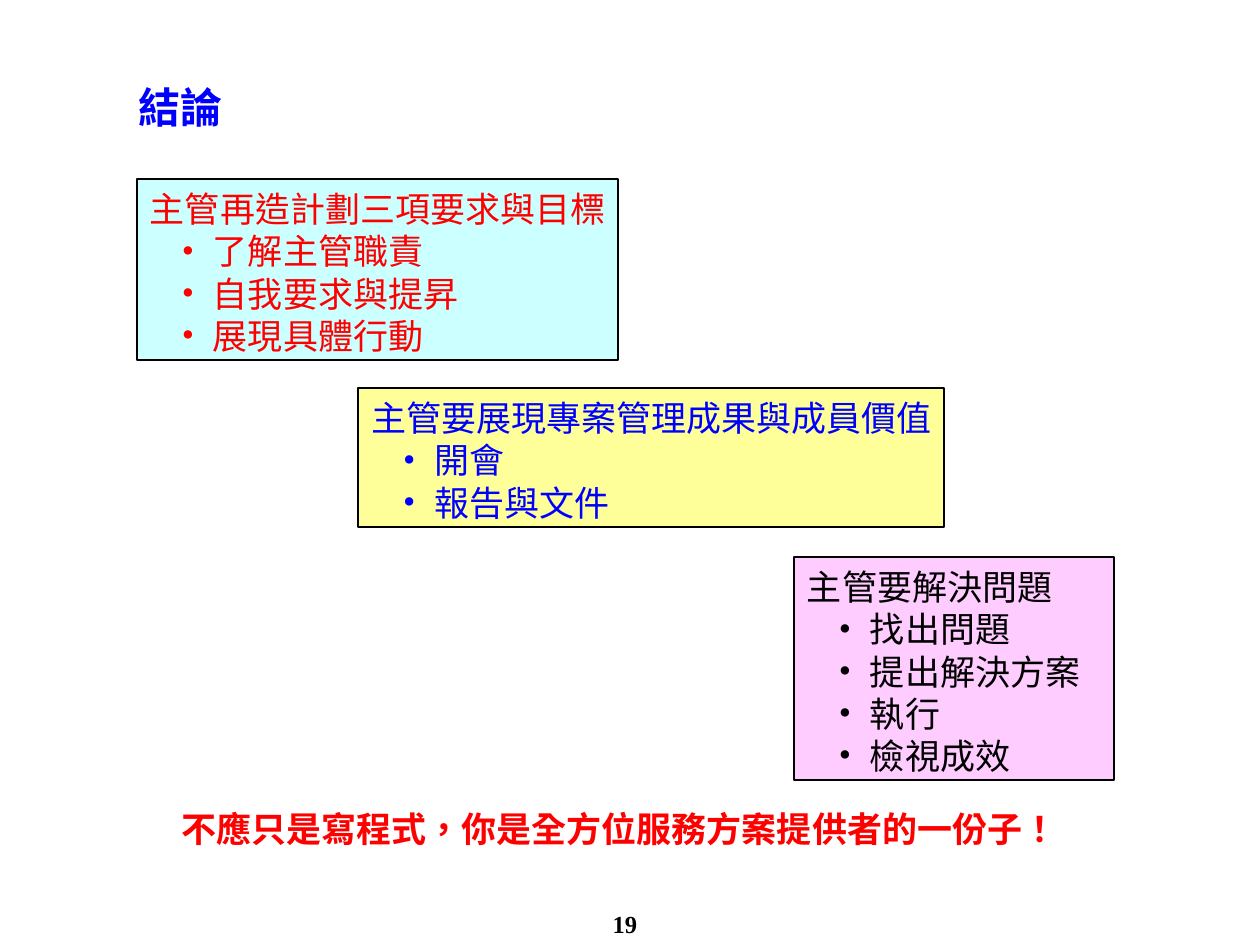
from dataclasses import dataclass

from lxml.etree import SubElement
from pptx import Presentation
from pptx.dml.color import RGBColor
from pptx.enum.lang import MSO_LANGUAGE_ID
from pptx.enum.shapes import MSO_SHAPE
from pptx.enum.text import MSO_ANCHOR, PP_ALIGN
from pptx.oxml.ns import qn
from pptx.util import Emu, Pt

SCALE = 914400 / 126
SERIF = "Times New Roman"
SANS = "Noto Sans CJK SC"
COLORS = {
    "blue": "0000FF",
    "red": "FF0000",
    "black": "000000",
    "cyan": "CCFFFF",
    "yellow": "FFFF99",
    "pink": "FFCCFF",
}


@dataclass(frozen=True)
class Card:
    left: int
    top: int
    width: int
    height: int
    fill: str
    color: str
    heading: str
    items: tuple[str, ...]
    heading_font: str = SERIF
    item_font: str = SERIF


CARDS = (
    Card(137, 179, 481, 181, "cyan", "red", "主管再造計劃三項要求與目標",
         ("了解主管職責", "自我要求與提昇", "展現具體行動"), SANS, SANS),
    Card(358, 388, 586, 139, "yellow", "blue", "主管要展現專案管理成果與成員價值",
         ("開會", "報告與文件")),
    Card(794, 557, 320, 223, "pink", "black", "主管要解決問題",
         ("找出問題", "提出解決方案", "執行", "檢視成效"), item_font=SANS),
)


def px(value: int) -> Emu:
    return Emu(round(value * SCALE))


def color_of(name: str) -> RGBColor:
    return RGBColor.from_string(COLORS[name])


def set_frame(shape, top_inset: int = 9):
    frame = shape.text_frame
    frame.word_wrap = True
    frame.vertical_anchor = MSO_ANCHOR.TOP
    frame.margin_left = px(13)
    frame.margin_right = px(6)
    frame.margin_top = px(top_inset)
    frame.margin_bottom = px(3)
    return frame


def add_bullet(paragraph, color: str) -> None:
    properties = paragraph._p.get_or_add_pPr()
    properties.set("marL", str(px(63)))
    properties.set("indent", str(-px(31)))
    bullet_color = SubElement(properties, qn("a:buClr"))
    SubElement(bullet_color, qn("a:srgbClr")).set("val", COLORS[color])
    SubElement(properties, qn("a:buFont")).set("typeface", SERIF)
    SubElement(properties, qn("a:buChar")).set("char", "•")


def write(paragraph, text: str, *, size: int = 20, color: str = "black", font: str = SERIF,
          bold: bool = False, bullet: bool = False, chinese: bool = True,
          align: PP_ALIGN = PP_ALIGN.LEFT) -> None:
    if bullet:
        paragraph.level = 1
        add_bullet(paragraph, color)
    paragraph.alignment = align
    run = paragraph.add_run()
    run.text = text
    run.font.size = Pt(size)
    run.font.bold = bold
    run.font.name = font
    run.font.color.rgb = color_of(color)
    if chinese:
        paragraph.line_spacing = Pt(size * 1.2)
        run.font.language_id = MSO_LANGUAGE_ID.TRADITIONAL_CHINESE
        SubElement(run.font._element, qn("a:ea")).set("typeface", SANS)


def add_card(slide, card: Card) -> None:
    shape = slide.shapes.add_shape(
        MSO_SHAPE.RECTANGLE, px(card.left), px(card.top), px(card.width), px(card.height))
    shape.shadow.inherit = False
    shape.fill.solid()
    shape.fill.fore_color.rgb = color_of(card.fill)
    shape.line.color.rgb = color_of("black")
    shape.line.width = Pt(0.75)
    frame = set_frame(shape)
    write(frame.paragraphs[0], card.heading, color=card.color, font=card.heading_font)
    for item in card.items:
        write(frame.add_paragraph(), item, color=card.color, font=card.item_font, bullet=True)


def add_text(slide, left: int, top: int, width: int, height: int, text: str,
             top_inset: int = 9, **text_format) -> None:
    shape = slide.shapes.add_textbox(px(left), px(top), px(width), px(height))
    write(set_frame(shape, top_inset).paragraphs[0], text, **text_format)


def main() -> None:
    presentation = Presentation()
    presentation.slide_width = px(1260)
    presentation.slide_height = px(945)
    slide = presentation.slides.add_slide(presentation.slide_layouts[6])
    add_text(slide, 126, 73, 179, 63, "結論", size=24, color="blue", bold=True)
    for card in CARDS:
        add_card(slide, card)
    add_text(slide, 168, 798, 902, 55, "不應只是寫程式，你是全方位服務方案提供者的一份子！",
             color="red", bold=True)
    add_text(slide, 532, 903, 179, 42, "19", top_inset=6, size=14, bold=True,
             chinese=False, align=PP_ALIGN.CENTER)
    presentation.save("out.pptx")


if __name__ == "__main__":
    main()
